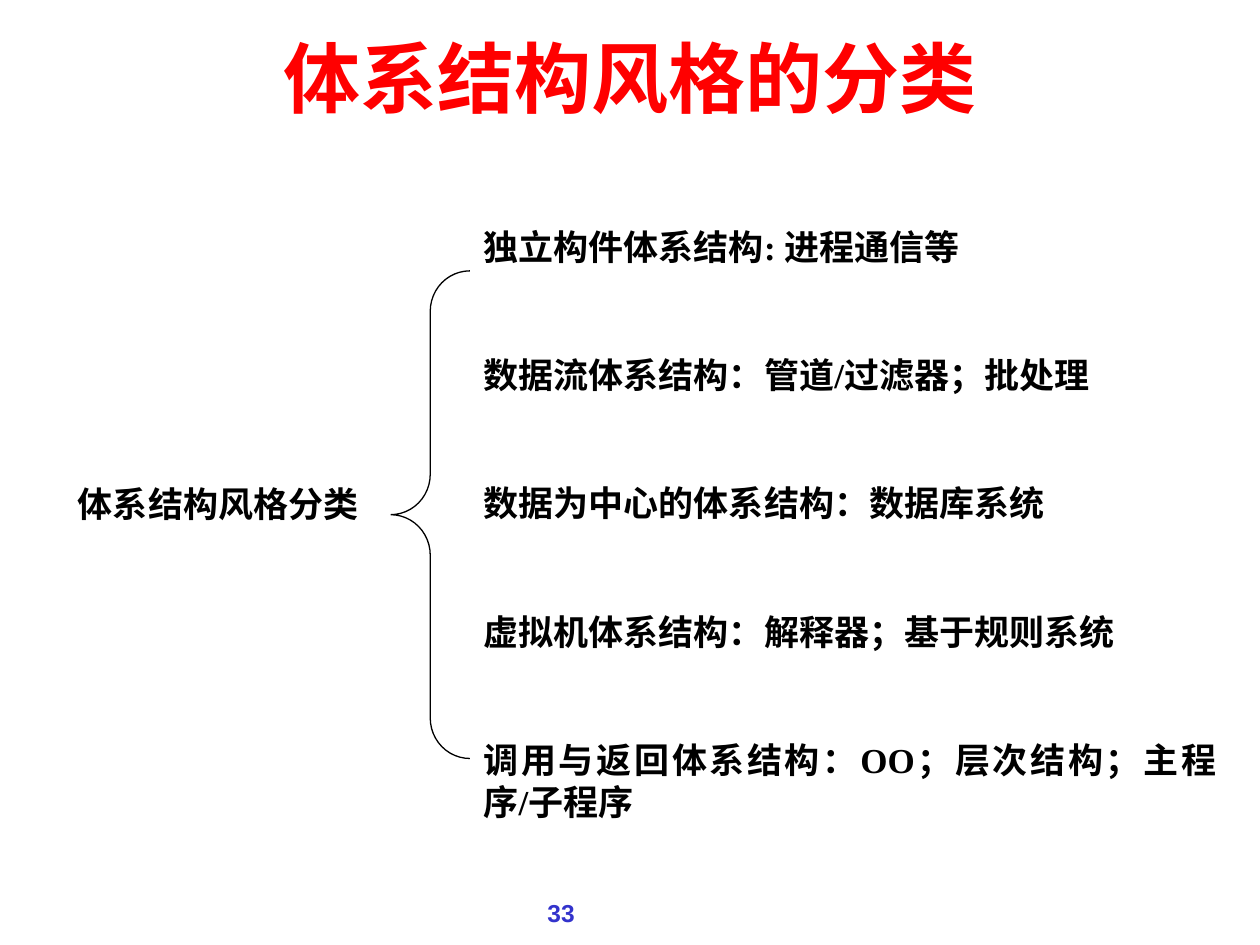
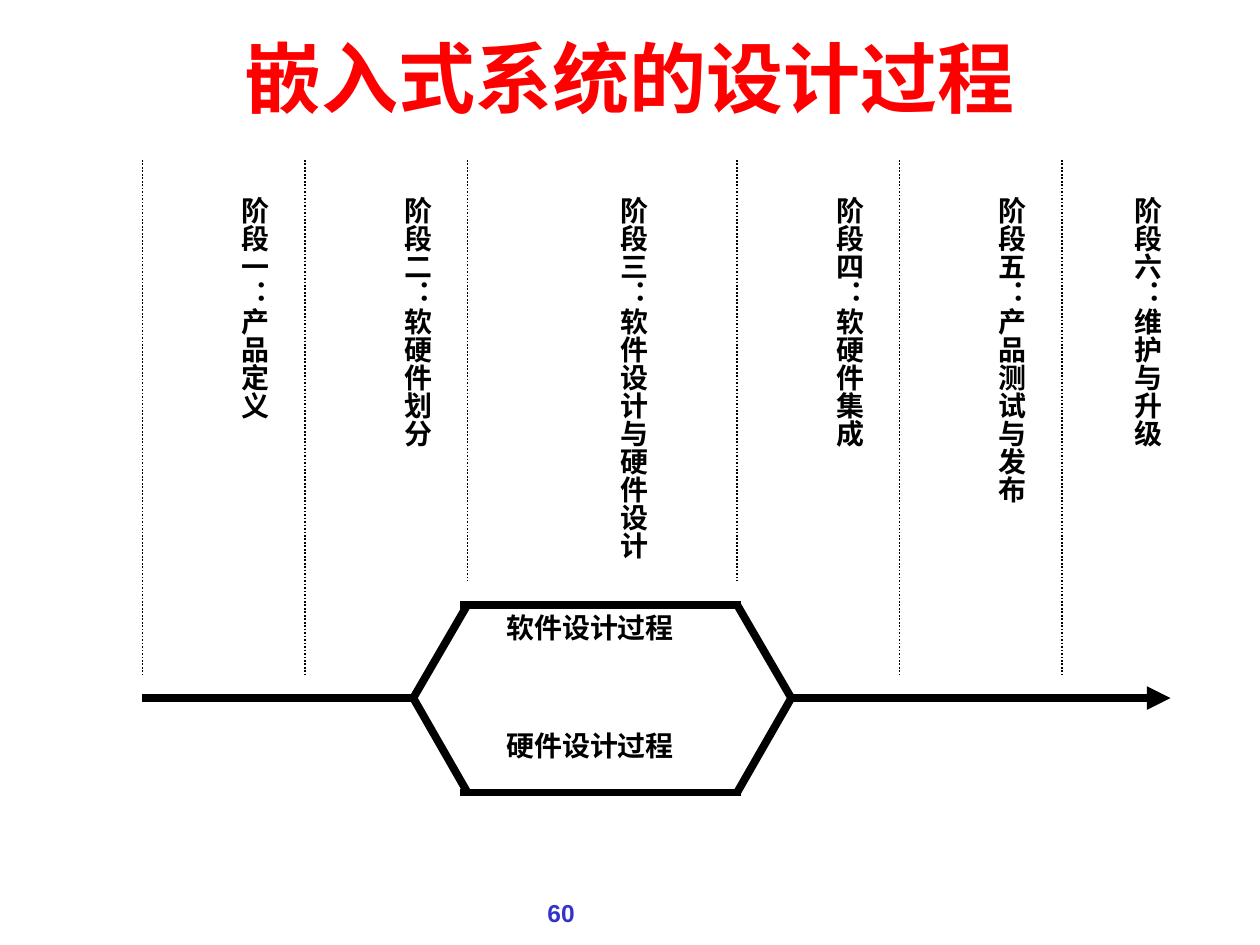
from itertools import pairwise

from pptx import Presentation
from pptx.dml.color import RGBColor
from pptx.enum.dml import MSO_LINE
from pptx.enum.shapes import MSO_CONNECTOR, MSO_SHAPE
from pptx.enum.text import MSO_ANCHOR, PP_ALIGN
from pptx.oxml.ns import qn
from pptx.util import Inches, Pt
from lxml.etree import SubElement

RED = RGBColor(0xFF, 0x00, 0x00)
BLUE = RGBColor(0x33, 0x33, 0xCC)
BLACK = RGBColor(0x00, 0x00, 0x00)
WHITE = RGBColor(0xFF, 0xFF, 0xFF)

FORMATS = {
    "title": {"name": "Arial", "size": Pt(44), "color": RED},
    "number": {"name": "Arial", "size": Pt(14), "color": BLUE},
    "topic": {"name": "Times New Roman", "size": Pt(20), "color": BLACK},
    "stage": {"name": "Times New Roman", "size": Pt(16), "color": BLACK},
}


class Deck:
    def __init__(self):
        self.prs = Presentation()
        self.prs.slide_width, self.prs.slide_height = Inches(10), Inches(7.5)
        self.s = None

    def slide(self, title, number):
        self.s = self.prs.slides.add_slide(self.prs.slide_layouts[6])
        self.text(number, (2.33, 7.08, 2.33, 0.27), "number", PP_ALIGN.RIGHT)
        sp = self.text(title, (0.5, 0.17, 9, 0.87), "title", PP_ALIGN.CENTER)
        sp.text_frame.vertical_anchor = MSO_ANCHOR.MIDDLE

    def fill_text(self, sp, text, style, align):
        tf = sp.text_frame
        tf.word_wrap = True
        tf.vertical_anchor = MSO_ANCHOR.TOP
        p = tf.paragraphs[0]
        p.alignment = align
        r = p.add_run()
        r.text = text
        r.font.bold = True
        for key, value in FORMATS[style].items():
            if key == "color":
                r.font.color.rgb = value
            else:
                setattr(r.font, key, value)

    def text(self, text, box, style, align=PP_ALIGN.JUSTIFY):
        sp = self.s.shapes.add_textbox(*map(Inches, box))
        self.fill_text(sp, text, style, align)
        return sp

    def vertical_text(self, text, box, style):
        sp = self.text(text, box, style, PP_ALIGN.CENTER)
        tf = sp.text_frame
        tf.margin_left = tf.margin_right = Inches(0.05)
        tf.margin_top = tf.margin_bottom = Inches(0.1)
        sp.element.find(".//" + qn("a:bodyPr")).set("vert", "eaVert")

    def topic(self, text, box):
        sp = self.s.shapes.add_shape(MSO_SHAPE.RECTANGLE, *map(Inches, box))
        sp.shadow.inherit = False
        sp.fill.solid()
        sp.fill.fore_color.rgb = WHITE
        sp.line.fill.background()
        self.fill_text(sp, text, "topic", PP_ALIGN.JUSTIFY)

    def brace(self, box):
        sp = self.s.shapes.add_shape(MSO_SHAPE.LEFT_BRACE, *map(Inches, box))
        sp.shadow.inherit = False
        sp.adjustments[0] = 0.51
        sp.fill.background()
        sp.line.color.rgb = BLACK
        sp.line.width = Pt(0.75)

    def line(self, start, end, width, dash=None, arrow=False):
        c = self.s.shapes.add_connector(
            MSO_CONNECTOR.STRAIGHT, *map(Inches, (*start, *end)))
        c.line.color.rgb = BLACK
        c.line.width = Pt(width)
        if dash:
            c.line.dash_style = dash
        if arrow:
            ln = c.element.spPr.find(qn("a:ln"))
            SubElement(ln, qn("a:tailEnd"), type="triangle")
        SubElement(c.element.spPr, qn("a:effectLst"))


def add_styles(deck):
    deck.slide("体系结构风格的分类", "33")
    deck.brace((3.1, 2.15, 0.63, 3.87))
    deck.topic("体系结构风格分类", (0.52, 3.78, 2.58, 0.61))
    styles = [
        ("独立构件体系结构: 进程通信等", 5.43, 0.61),
        ("数据流体系结构：管道/过滤器；批处理", 5.84, 0.61),
        ("数据为中心的体系结构：数据库系统", 5.84, 0.61),
        ("虚拟机体系结构：解释器；基于规则系统", 5.84, 0.61),
        ("调用与返回体系结构：OO；层次结构；主程序/子程序", 6.01, 0.82),
    ]
    top, last_top = 1.74, 5.81
    step = (last_top - top) / (len(styles) - 1)
    for i, (text, width, height) in enumerate(styles):
        deck.topic(text, (3.74, top + i * step, width, height))


def add_process(deck):
    deck.slide("嵌入式系统的设计过程", "60")

    # The flow forks into a software and a hardware branch
    start, fork, join, end = 1.13, 3.28, 6.28, 9.29
    branch_left, branch_right = 3.71, 5.85
    axis, software, hardware = 5.54, 4.8, 6.29
    deck.line((start, axis), (fork, axis), 4.5)
    for y in (software, hardware):
        deck.line((fork, axis), (branch_left, y), 4.5)
        deck.line((branch_left - 0.06, y), (branch_right + 0.03, y), 4.5)
        deck.line((branch_right, y), (join, axis), 4.5)
    deck.line((join, axis), (end, axis), 4.5, arrow=True)

    stages = [
        ("阶段一：产品定义", 2.04),
        ("阶段二：软硬件划分", 2.6),
        ("阶段三：软件设计与硬件设计", 3.16),
        ("阶段四：软硬件集成", 2.42),
        ("阶段五：产品测试与发布", 2.97),
        ("阶段六：维护与升级", 2.42),
    ]
    edges = [start, 2.42, branch_left, branch_right, 7.14, 8.43, end]
    width = 0.86
    for (text, height), (left, right) in zip(stages, pairwise(edges)):
        bottom = 4.61 if left in (branch_left, branch_right) else 5.36
        deck.line((left, 1.27), (left, bottom), 1, MSO_LINE.ROUND_DOT)
        x = (left + right - width) / 2
        deck.vertical_text(text, (x, 1.46, width, height), "stage")

    deck.text("软件设计过程", (3.92, software, 1.72, 0.56), "stage")
    deck.text("硬件设计过程", (3.92, hardware - 0.56, 1.72, 0.56), "stage")


def main():
    deck = Deck()
    add_styles(deck)
    add_process(deck)
    deck.prs.save("out.pptx")


if __name__ == "__main__":
    main()
